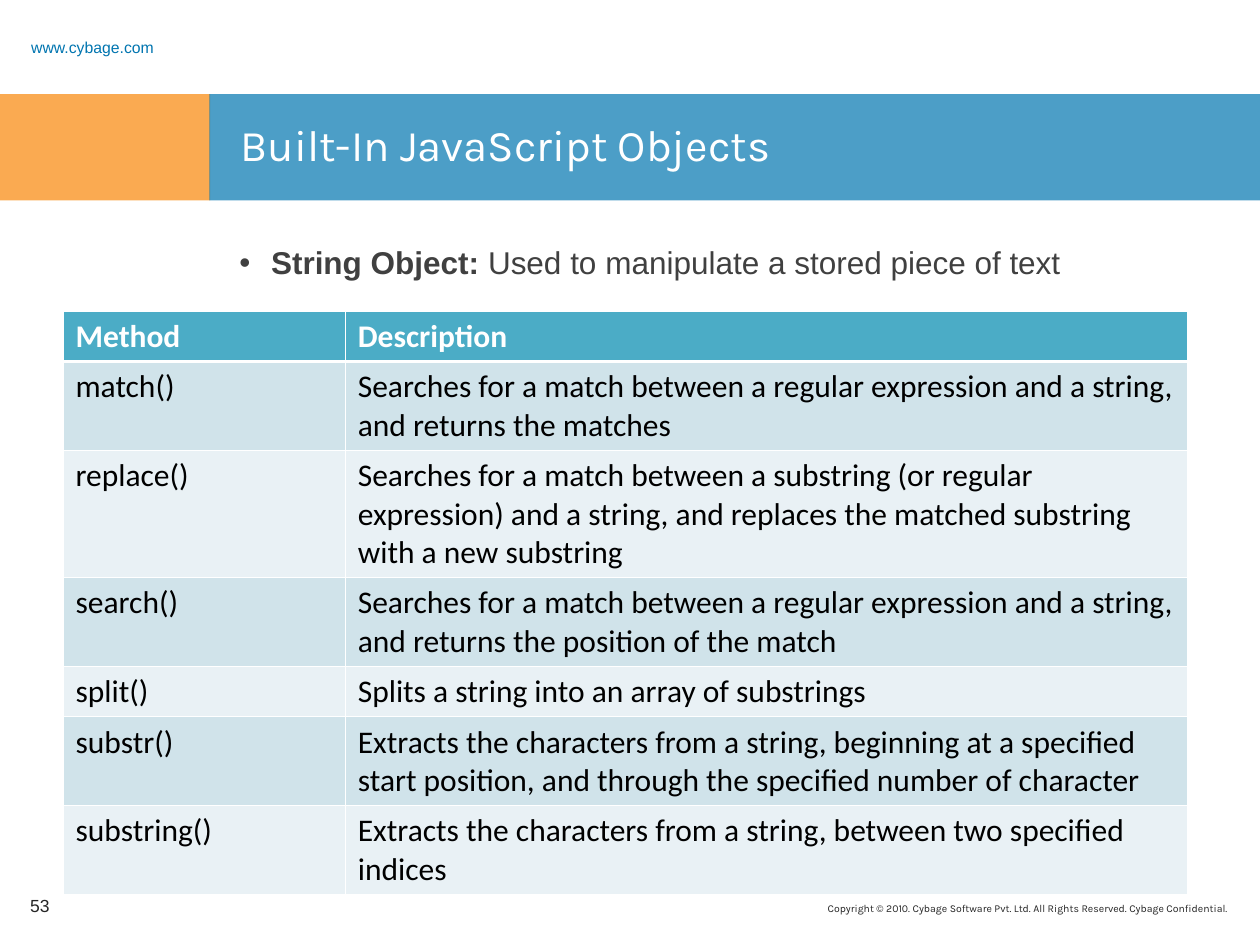
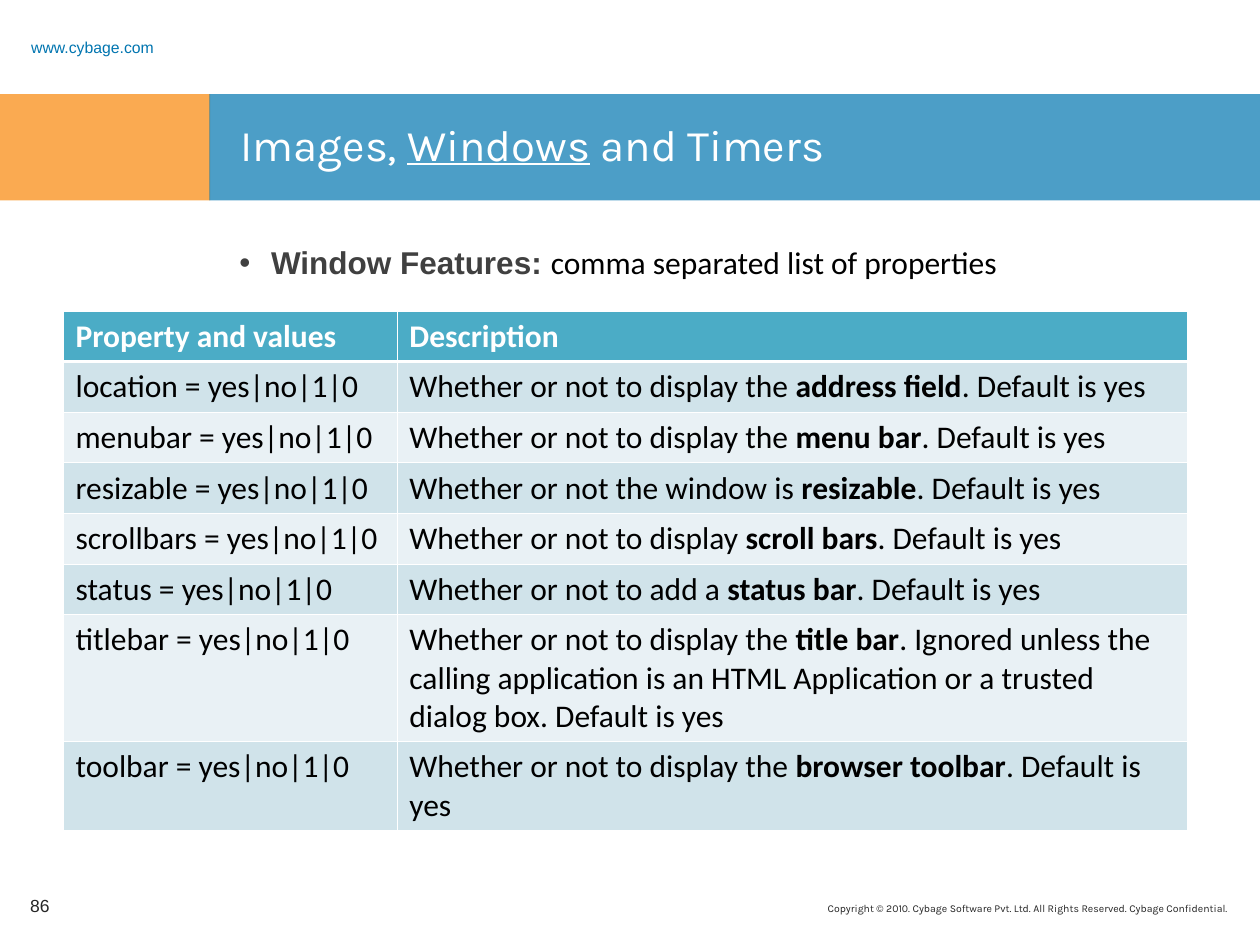
"""Build two JavaScript reference slides with a shared band, header and footer."""
from dataclasses import dataclass
from typing import Optional

from lxml.etree import SubElement
from pptx import Presentation
from pptx.dml.color import RGBColor
from pptx.enum.shapes import MSO_SHAPE as Preset
from pptx.enum.text import MSO_ANCHOR as Anchor, MSO_AUTO_SIZE as AutoSize, PP_ALIGN as Align
from pptx.oxml.ns import qn
from pptx.util import Cm, Pt

ORANGE = RGBColor(0xF8, 0x86, 0x08)
BLUE = RGBColor(0x00, 0x75, 0xB0)
TEAL = RGBColor(0x4B, 0xAC, 0xC6)
ROW_DARK = RGBColor(0xD0, 0xE3, 0xEA)
ROW_LIGHT = RGBColor(0xE9, 0xF1, 0xF5)
WHITE = RGBColor(0xFF, 0xFF, 0xFF)
BLACK = RGBColor(0x00, 0x00, 0x00)
GREY = RGBColor(0x40, 0x40, 0x40)
CHARCOAL = RGBColor(0x26, 0x26, 0x26)

BAND_OPACITY = 70
TABLE_WIDTH = 22.66
LINE_HEIGHT = 0.77
CELL_PADDING = 0.25
THIN, THICK = Pt(0.45), Pt(1.47)
FLAGS = " = yes|no|1|0"
DEFAULT_YES = ". Default is yes"


@dataclass(frozen=True)
class Box:
    left: float
    top: float
    width: float
    height: float

    def lengths(self) -> tuple:
        return Cm(self.left), Cm(self.top), Cm(self.width), Cm(self.height)


@dataclass(frozen=True)
class Style:
    font: str
    size: float
    color: RGBColor
    bold: bool = False


@dataclass(frozen=True)
class Span:
    text: str
    bold: bool = False
    underline: bool = False
    style: Optional[Style] = None


@dataclass(frozen=True)
class Band:
    box: Box
    color: RGBColor


@dataclass(frozen=True)
class Label:
    box: Box
    style: Style
    align: Align = Align.LEFT
    anchor: Anchor = Anchor.TOP
    line_spacing: float = 1.0


@dataclass(frozen=True)
class Entry:
    name: str
    description: tuple
    lines: int = 1


@dataclass(frozen=True)
class Page:
    number: str
    title: tuple
    lead: tuple
    name_heading: str
    name_width: float
    entries: tuple


TITLE_STYLE = Style("Karla", 25, WHITE)
LEAD_STYLE = Style("Arial", 18, GREY)
CELL_STYLE = Style("Calibri", 18, BLACK)
HEADING_STYLE = Style("Calibri", 18, WHITE, True)

BANDS = (Band(Box(0, 1.9, 4.24, 2.14), ORANGE),
         Band(Box(4.22, 1.9, 21.18, 2.14), BLUE))
TITLE_BOX = Box(4.6, 2.24, 20.17, 1.57)
LEAD_BOX = Box(4.57, 4.78, 20.19, 10.03)
WEBSITE = Label(Box(0.38, 0.61, 3.81, 0.48), Style("Arial", 9, BLUE),
                anchor=Anchor.MIDDLE, line_spacing=1.5)
COPYRIGHT = Label(Box(10.36, 18.06, 14.63, 0.66), Style("Karla", 6, CHARCOAL),
                  align=Align.RIGHT)
PAGE_NUMBER = Label(Box(0.36, 17.75, 1.37, 1.02), Style("Arial", 10, CHARCOAL),
                    anchor=Anchor.MIDDLE)


def method(name: str, text: str, lines: int = 1) -> Entry:
    """Describe one string method."""
    return Entry(name + "()", (Span(text),), lines)


def feature(name: str, before: str, term: str, after: str = DEFAULT_YES, lines: int = 1) -> Entry:
    """Describe one window feature with its key term in bold."""
    return Entry(name + FLAGS, (Span(before), Span(term, bold=True), Span(after)), lines)


DISPLAY_THE = "Whether or not to display the "

PAGES = (
    Page("53", (Span("Built-In JavaScript Objects"),),
         (Span("String Object:", bold=True), Span(" Used to manipulate a stored piece of text")),
         "Method", 5.69, (
             method("match", "Searches for a match between a regular expression and a string, "
                    "and returns the matches", 2),
             method("replace", "Searches for a match between a substring (or regular expression) "
                    "and a string, and replaces the matched substring with a new substring", 3),
             method("search", "Searches for a match between a regular expression and a string, "
                    "and returns the position of the match", 2),
             method("split", "Splits a string into an array of substrings"),
             method("substr", "Extracts the characters from a string, beginning at a specified "
                    "start position, and through the specified number of character", 2),
             method("substring", "Extracts the characters from a string, between two specified "
                    "indices", 2))),
    Page("86", (Span("Images, "), Span("Windows", underline=True), Span(" and Timers")),
         (Span("Window Features: ", bold=True),
          Span("comma separated list of properties", style=CELL_STYLE)),
         "Property and values", 6.73, (
             feature("location", DISPLAY_THE, "address field"),
             feature("menubar", DISPLAY_THE, "menu bar"),
             feature("resizable", "Whether or not the window is ", "resizable"),
             feature("scrollbars", "Whether or not to display ", "scroll bars"),
             feature("status", "Whether or not to add a ", "status bar"),
             feature("titlebar", DISPLAY_THE, "title bar",
                     ". Ignored unless the calling application is an HTML Application "
                     "or a trusted dialog box" + DEFAULT_YES, 3),
             feature("toolbar", DISPLAY_THE, "browser toolbar", lines=2))),
)


def write_spans(paragraph, spans: tuple, base: Style) -> None:
    """Fill a paragraph with formatted spans."""
    for span in spans:
        run = paragraph.add_run()
        run.text = span.text
        style = span.style or base
        font = run.font
        font.name, font.size = style.font, Pt(style.size)
        font.color.rgb = style.color
        font.bold = style.bold or span.bold
        font.underline = span.underline


def draw_band(slide, band: Band) -> None:
    """Draw one translucent title band."""
    shape = slide.shapes.add_shape(Preset.RECTANGLE, *band.box.lengths())
    shape.shadow.inherit = False
    shape.fill.solid()
    shape.fill.fore_color.rgb = band.color
    shape.line.fill.background()
    tint = shape.element.spPr.find(qn("a:solidFill"))[0]
    SubElement(tint, qn("a:alpha"), val=str(BAND_OPACITY * 1000))


def draw_label(slide, label: Label, text: str) -> None:
    """Draw one small header or footer text."""
    frame = slide.shapes.add_textbox(*label.box.lengths()).text_frame
    frame.word_wrap = True
    frame.vertical_anchor = label.anchor
    paragraph = frame.paragraphs[0]
    paragraph.alignment = label.align
    paragraph.line_spacing = label.line_spacing
    write_spans(paragraph, (Span(text),), label.style)


def place_placeholder(slide, holder, box: Box):
    """Move a placeholder above the bands and return its first paragraph."""
    slide.shapes.element.append(holder.element)
    holder.left, holder.top, holder.width, holder.height = box.lengths()
    frame = holder.text_frame
    frame.auto_size = AutoSize.NONE
    frame.word_wrap = True
    frame.vertical_anchor = Anchor.TOP
    paragraph = frame.paragraphs[0]
    paragraph.alignment = Align.LEFT
    return paragraph


def add_bullet(paragraph) -> None:
    """Give a paragraph a grey round bullet with a hanging indent."""
    props = paragraph._p.get_or_add_pPr()
    props.set("marL", str(Cm(0.64)))
    props.set("indent", str(-Cm(0.64)))
    SubElement(SubElement(props, qn("a:buClr")), qn("a:srgbClr"), val=str(GREY))
    SubElement(props, qn("a:buFont"), typeface="Arial")
    SubElement(props, qn("a:buChar"), char="•")
    paragraph.space_before = Pt(0)


def format_cell(cell, spans: tuple, style: Style, fill: RGBColor, top: int, bottom: int) -> None:
    """Write a cell and set its white borders and fill."""
    write_spans(cell.text_frame.paragraphs[0], spans, style)
    props = cell._tc.get_or_add_tcPr()
    for side, width in (("lnL", THIN), ("lnR", THIN), ("lnT", top), ("lnB", bottom)):
        border = SubElement(props, qn("a:" + side), w=str(width))
        SubElement(SubElement(border, qn("a:solidFill")), qn("a:srgbClr"), val=str(WHITE))
    cell.fill.solid()
    cell.fill.fore_color.rgb = fill


def draw_table(slide, page: Page) -> None:
    """Draw the reference table with its heading row."""
    rows = (Entry(page.name_heading, (Span("Description"),)),) + page.entries
    heights = [CELL_PADDING + LINE_HEIGHT * row.lines for row in rows]
    box = Box(1.27, 6.27, TABLE_WIDTH, sum(heights))
    table = slide.shapes.add_table(len(rows), 2, *box.lengths()).table
    table.horz_banding = False
    table.columns[0].width = Cm(page.name_width)
    table.columns[1].width = Cm(TABLE_WIDTH - page.name_width)
    for index, (row, height) in enumerate(zip(rows, heights)):
        table.rows[index].height = Cm(height)
        style = CELL_STYLE if index else HEADING_STYLE
        fill = (ROW_DARK if index % 2 else ROW_LIGHT) if index else TEAL
        top = THICK if index == 1 else THIN
        bottom = THIN if index else THICK
        for column, spans in enumerate(((Span(row.name),), row.description)):
            format_cell(table.cell(index, column), spans, style, fill, top, bottom)


def build_page(deck, page: Page) -> None:
    """Build one slide."""
    slide = deck.slides.add_slide(deck.slide_layouts[1])
    draw_label(slide, COPYRIGHT, "Copyright © 2010. Cybage Software Pvt. Ltd. "
               "All Rights Reserved. Cybage Confidential.")
    for band in BANDS:
        draw_band(slide, band)
    draw_label(slide, WEBSITE, "www.cybage.com")
    title = place_placeholder(slide, slide.shapes.title, TITLE_BOX)
    write_spans(title, page.title, TITLE_STYLE)
    lead = place_placeholder(slide, slide.placeholders[1], LEAD_BOX)
    add_bullet(lead)
    write_spans(lead, page.lead, LEAD_STYLE)
    draw_label(slide, PAGE_NUMBER, page.number)
    draw_table(slide, page)


def main() -> None:
    """Build and save the deck."""
    deck = Presentation()
    deck.slide_width, deck.slide_height = Cm(25.4), Cm(19.05)
    for page in PAGES:
        build_page(deck, page)
    deck.save("out.pptx")


if __name__ == "__main__":
    main()
